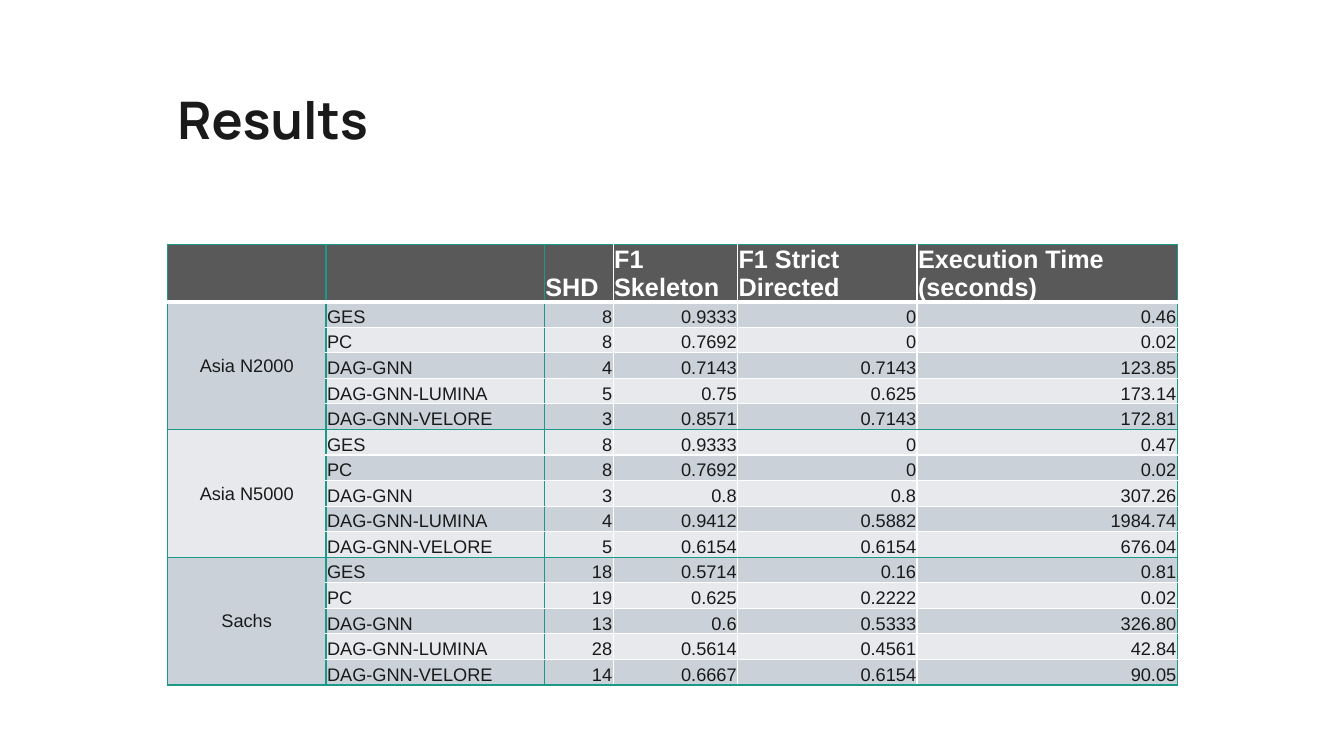
from lxml.etree import SubElement
from pptx import Presentation
from pptx.dml.color import RGBColor
from pptx.enum.text import MSO_ANCHOR, MSO_AUTO_SIZE, PP_ALIGN
from pptx.oxml.ns import qn
from pptx.util import Pt

INK = RGBColor(0x1A, 0x1A, 0x1A)
WHITE = RGBColor(0xFF, 0xFF, 0xFF)
TEAL = RGBColor(0x1A, 0x99, 0x88)
HEADER_GREY = RGBColor(0x59, 0x59, 0x59)
BANDS = [RGBColor(0xCA, 0xD1, 0xD8), RGBColor(0xE7, 0xE9, 0xEC)]

COLUMN_WIDTHS = [113.4, 156, 49.1, 88.9, 128.2, 185.8]
HEADER_HEIGHT = 41
ROW_HEIGHT = 18.27
HEADINGS = ["", "", "SHD", "F1 Skeleton", "F1 Strict Directed", "Execution Time (seconds)"]
METHODS = ["GES", "PC", "DAG-GNN", "DAG-GNN-LUMINA", "DAG-GNN-VELORE"]
RESULTS = {
    "Asia N2000": [
        ["8", "0.9333", "0", "0.46"],
        ["8", "0.7692", "0", "0.02"],
        ["4", "0.7143", "0.7143", "123.85"],
        ["5", "0.75", "0.625", "173.14"],
        ["3", "0.8571", "0.7143", "172.81"],
    ],
    "Asia N5000": [
        ["8", "0.9333", "0", "0.47"],
        ["8", "0.7692", "0", "0.02"],
        ["3", "0.8", "0.8", "307.26"],
        ["4", "0.9412", "0.5882", "1984.74"],
        ["5", "0.6154", "0.6154", "676.04"],
    ],
    "Sachs": [
        ["18", "0.5714", "0.16", "0.81"],
        ["19", "0.625", "0.2222", "0.02"],
        ["13", "0.6", "0.5333", "326.80"],
        ["28", "0.5614", "0.4561", "42.84"],
        ["14", "0.6667", "0.6154", "90.05"],
    ],
}

TITLE_FONT = {"name": "Manrope", "size": Pt(37), "bold": True}
HEADER_FONT = {"name": "Arial", "size": Pt(18), "bold": True}
BODY_FONT = {"name": "Arial", "size": Pt(13), "bold": False}
TITLE_BOX = {"left": Pt(119.5), "top": Pt(43.2), "width": Pt(721.4), "height": Pt(89.3)}
TITLE_FRAME = {"vertical_anchor": MSO_ANCHOR.MIDDLE, "auto_size": MSO_AUTO_SIZE.NONE,
               "word_wrap": True}
TITLE_PARA = {"alignment": PP_ALIGN.LEFT, "line_spacing": 0.9}
CELL_MARGINS = {"margin_left": Pt(0.75), "margin_top": Pt(0.75),
                "margin_right": Pt(0.75), "margin_bottom": Pt(0)}


def apply(target, values):
    """Set each named attribute on the target."""
    for name, value in values.items():
        setattr(target, name, value)


def write(para, text, font, color):
    """Add one formatted span of text to a paragraph."""
    span = para.add_run()
    span.text = text
    apply(span.font, font)
    span.font.color.rgb = color


def add_title(page, text):
    """Move and fill the title placeholder."""
    box = page.shapes.title
    apply(box, TITLE_BOX)
    apply(box.text_frame, TITLE_FRAME)
    para = box.text_frame.paragraphs[0]
    apply(para, TITLE_PARA)
    write(para, text, TITLE_FONT, INK)


def set_borders(cell, row, column):
    """Draw teal outer and group edges, and white edges elsewhere."""
    group_size = len(METHODS)
    label = row > 0 and column == 0
    top_teal = row == 0 or (row > 1 and (label or row % group_size == 1))
    bottom_teal = row > 0 and (label or row % group_size == 0)
    edges = {
        "a:lnL": (column <= 2, 1),
        "a:lnR": (column in (0, 1, len(HEADINGS) - 1), 1),
        "a:lnT": (top_teal, 3 if row == 1 else 1),
        "a:lnB": (bottom_teal, 3 if row == 0 else 1),
    }
    properties = cell._tc.get_or_add_tcPr()
    for position, (tag, (teal, width)) in enumerate(edges.items()):
        line = SubElement(properties, qn(tag), w=str(Pt(width)))
        fill = SubElement(line, qn("a:solidFill"))
        SubElement(fill, qn("a:srgbClr"), val=str(TEAL if teal else WHITE))
        properties.insert(position, line)


def fill_cell(cell, row, column, text):
    """Format one table cell by its row and column."""
    header = row == 0
    label = not header and column == 0
    cell.fill.solid()
    cell.fill.fore_color.rgb = HEADER_GREY if header else BANDS[(row - 1) % 2]
    apply(cell, CELL_MARGINS)
    cell.vertical_anchor = MSO_ANCHOR.MIDDLE if label else MSO_ANCHOR.BOTTOM
    set_borders(cell, row, column)
    if text:
        para = cell.text_frame.paragraphs[0]
        if label:
            para.alignment = PP_ALIGN.CENTER
        elif not header and column > 1:
            para.alignment = PP_ALIGN.RIGHT
        write(para, text, HEADER_FONT if header else BODY_FONT, WHITE if header else INK)


def table_rows():
    """List the header and the result rows, each group named once."""
    rows = [HEADINGS]
    for dataset, scores in RESULTS.items():
        for index, (method, values) in enumerate(zip(METHODS, scores)):
            rows.append([dataset if index == 0 else "", method, *values])
    return rows


def add_results_table(page):
    """Build the results table with one merged label per dataset."""
    rows = table_rows()
    height = HEADER_HEIGHT + ROW_HEIGHT * (len(rows) - 1)
    frame = page.shapes.add_table(len(rows), len(HEADINGS), Pt(119.5), Pt(174.4),
                                  Pt(sum(COLUMN_WIDTHS)), Pt(height))
    table = frame.table
    apply(table, {"first_row": False, "horz_banding": False})
    for column, width in zip(table.columns, COLUMN_WIDTHS):
        column.width = Pt(width)
    for row, texts in enumerate(rows):
        table.rows[row].height = Pt(ROW_HEIGHT if row else HEADER_HEIGHT)
        for column, text in enumerate(texts):
            fill_cell(table.cell(row, column), row, column, text)
    for first in range(1, len(rows), len(METHODS)):
        table.cell(first, 0).merge(table.cell(first + len(METHODS) - 1, 0))


def main():
    """Build and save the results slide."""
    deck = Presentation()
    apply(deck, {"slide_width": Pt(960), "slide_height": Pt(540)})
    page = deck.slides.add_slide(deck.slide_layouts.get_by_name("Title Only"))
    add_title(page, "Results")
    add_results_table(page)
    deck.save("out.pptx")


if __name__ == "__main__":
    main()
